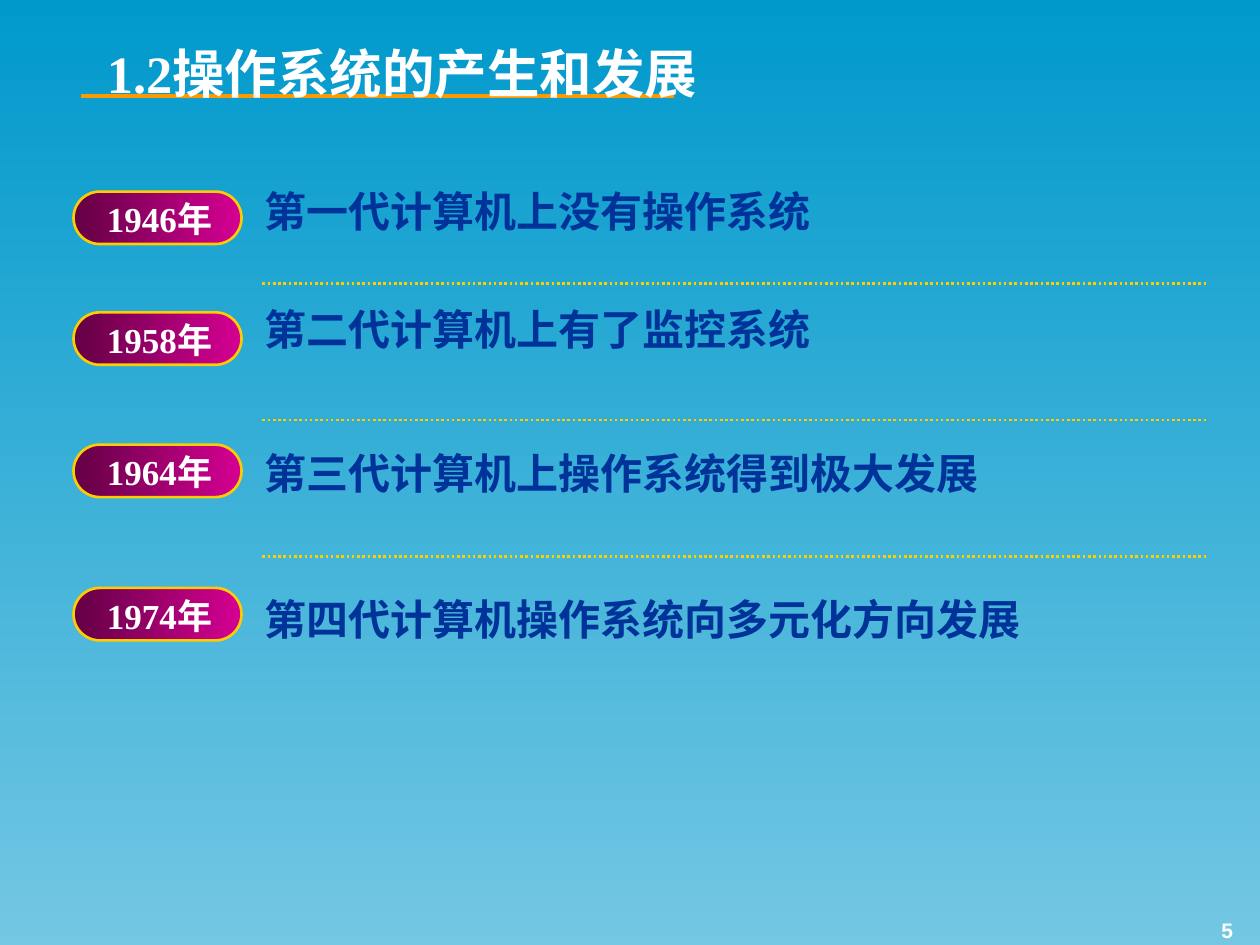
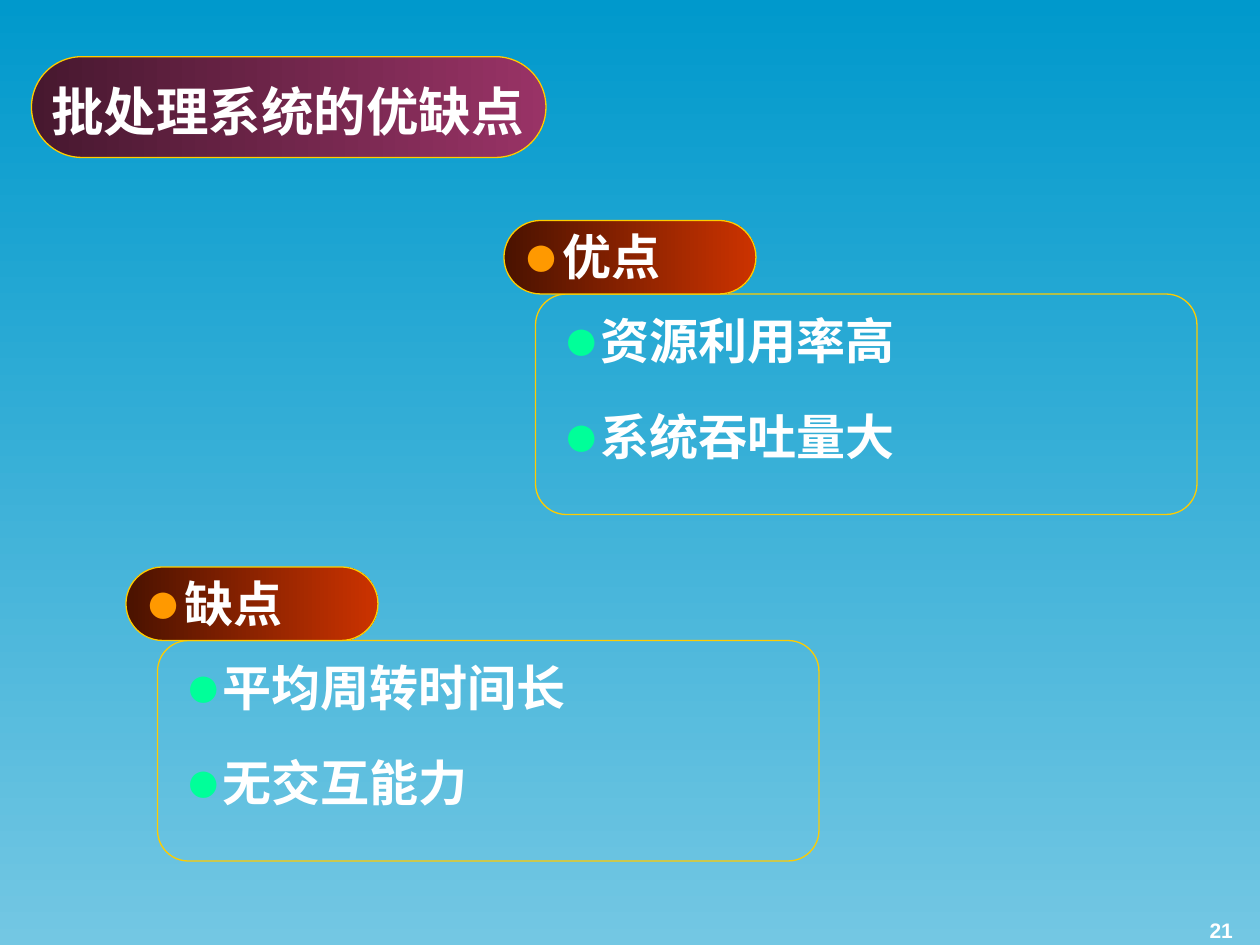
import lxml.etree
import pptx
import pptx.dml.color
import pptx.enum.dml
import pptx.enum.shapes
import pptx.enum.text
import pptx.oxml.ns
import pptx.util

RGBColor = pptx.dml.color.RGBColor
SKY_TOP = RGBColor(0x00, 0x99, 0xCC)
SKY_BOTTOM = RGBColor(0x73, 0xC7, 0xE3)
WHITE = RGBColor(0xFF, 0xFF, 0xFF)
ORANGE = RGBColor(0xFF, 0x99, 0x00)
GOLD = RGBColor(0xFF, 0xCC, 0x00)
NAVY = RGBColor(0x00, 0x33, 0x99)
MINT = RGBColor(0x00, 0xFF, 0x99)
PLUM_FADE = (RGBColor(0x63, 0x00, 0x44), RGBColor(0xD6, 0x00, 0x93))
WINE_FADE = (RGBColor(0x47, 0x18, 0x2F), RGBColor(0x99, 0x33, 0x66))
RUST_FADE = (RGBColor(0x4A, 0x12, 0x00), RGBColor(0xCC, 0x33, 0x00))

COLUMNS, ROWS = 120, 90
CELL = pptx.util.Inches(10) // COLUMNS
SERIF, SANS, NUMERALS = "Times New Roman", "Lato", "Arial"
ALIGN = pptx.enum.text.PP_ALIGN
ANCHOR = pptx.enum.text.MSO_ANCHOR
TITLE_ONLY, TWO_CONTENT = 5, 3

TITLE_FONT = {"name": SERIF, "size": pptx.util.Pt(30), "bold": True}
YEAR_FONT = {"name": SERIF, "size": pptx.util.Pt(20), "bold": True}
ERA_FONT = {"name": SERIF, "size": pptx.util.Pt(24), "bold": True}
POINT_FONT = {"name": SANS, "size": pptx.util.Pt(28), "bold": True}
NUMBER_FONT = {"name": NUMERALS, "size": pptx.util.Pt(12), "bold": True}

ERAS = [
    ("1946年", "第一代计算机上没有操作系统", 18.25, 17.05),
    ("1958年", "第二代计算机上有了监控系统", 29.75, 28.35),
    ("1964年", "第三代计算机上操作系统得到极大发展", 42.35, 42),
    ("1974年", "第四代计算机操作系统向多元化方向发展", 56, 55.9),
]
TRAITS = [
    ("优点", ["资源利用率高", "系统吞吐量大"], 48, 21),
    ("缺点", ["平均周转时间长", "无交互能力"], 12, 54),
]


def cells(*counts):
    return [round(count * CELL) for count in counts]


def set_values(target, values):
    for name, value in values.items():
        setattr(target, name, value)


def place(shape, box):
    set_values(shape, dict(zip(("left", "top", "width", "height"), cells(*box))))


def fade(fill, colors, angle=0):
    fill.gradient()
    fill.gradient_angle = angle
    for stop, color in zip(fill.gradient_stops, colors):
        stop.color.rgb = color


def add_bullet(paragraph, color, indent):
    properties = paragraph._p.get_or_add_pPr()
    properties.set("marL", str(pptx.util.Inches(indent)))
    properties.set("indent", str(-pptx.util.Inches(indent)))

    def add(parent, tag, **attributes):
        return lxml.etree.SubElement(parent, pptx.oxml.ns.qn(tag), attributes)

    add(add(properties, "a:buClr"), "a:srgbClr", val=str(color))
    add(properties, "a:buSzPct", val="125000")
    add(properties, "a:buFont", typeface=SERIF)
    add(properties, "a:buChar", char="●")


def write(shape, lines, font, color=WHITE, align=ALIGN.LEFT, anchor=ANCHOR.TOP,
          bullet=None, gap=0):
    frame = shape.text_frame
    set_values(frame, {"word_wrap": True, "vertical_anchor": anchor,
                       "auto_size": pptx.enum.text.MSO_AUTO_SIZE.NONE})
    for index, line in enumerate(lines):
        paragraph = frame.add_paragraph() if index else frame.paragraphs[0]
        if bullet:
            add_bullet(paragraph, *bullet)
        paragraph.alignment = align
        paragraph.space_before = pptx.util.Pt(gap if index else 0)
        run = paragraph.add_run()
        run.text = line
        set_values(run.font, font)
        run.font.color.rgb = color


def add_label(slide, box, text, font, **style):
    label = slide.shapes.add_textbox(*cells(*box))
    write(label, [text], font, **style)


def add_rounded(slide, box, line_width, colors=None, roundness=0.5):
    shape = slide.shapes.add_shape(
        pptx.enum.shapes.MSO_SHAPE.ROUNDED_RECTANGLE, *cells(*box))
    shape.adjustments[0] = roundness
    shape.shadow.inherit = False
    if colors:
        fade(shape.fill, colors)
    else:
        shape.fill.background()
    shape.line.color.rgb = GOLD
    shape.line.width = pptx.util.Pt(line_width)


def add_rule(slide, left, right, row, color, width, dash=None):
    rule = slide.shapes.add_connector(
        pptx.enum.shapes.MSO_CONNECTOR.STRAIGHT, *cells(left, row, right, row))
    rule.line.color.rgb = color
    set_values(rule.line, {"width": pptx.util.Pt(width), "dash_style": dash})
    lxml.etree.SubElement(rule._element.spPr, pptx.oxml.ns.qn("a:effectLst"))


def add_title(slide, box, text):
    title = slide.shapes.title
    place(title, box)
    write(title, [text], TITLE_FONT, align=ALIGN.CENTER, anchor=ANCHOR.MIDDLE)
    title.element.getparent().append(title.element)


def add_page_number(slide, number):
    add_label(slide, (90.6, 84.1, 28, 6.25), number, NUMBER_FONT,
              align=ALIGN.RIGHT, anchor=ANCHOR.BOTTOM)


def add_era(slide, left, year, statement, year_row, statement_row):
    add_rounded(slide, (left, year_row, 16, 5), 1.5, PLUM_FADE)
    add_label(slide, (left + 2, year_row, 15, 5.3), year, YEAR_FONT)
    add_label(slide, (left + 17, statement_row, 93, 6), statement, ERA_FONT,
              color=NAVY)


def add_trait(slide, body, heading, points, left, top):
    add_rounded(slide, (left + 3, top + 7, 63, 21), 0.75, roundness=0.14)
    add_rounded(slide, (left, top, 24, 7), 0.75, RUST_FADE)
    add_label(slide, (left + 0.6, top, 21.4, 7), heading, POINT_FONT,
              bullet=(ORANGE, 0.32))
    place(body, (left + 4.4, top + 8, 54, 16))
    write(body, points, POINT_FONT, bullet=(MINT, 0.3), gap=21)


def build_history_slide(presentation):
    slide = presentation.slides.add_slide(presentation.slide_layouts[TITLE_ONLY])
    add_page_number(slide, "5")
    add_rule(slide, 7.7, 64.2, 9.1, ORANGE, 2.25)
    for era in ERAS:
        add_era(slide, 7, *era)
    for row in range(27, 54, 13):
        add_rule(slide, 25, 115, row, GOLD, 1.5,
                 pptx.enum.dml.MSO_LINE.ROUND_DOT)
    add_title(slide, (8, 3.4, 60.6, 7), "1.2操作系统的产生和发展")


def build_batch_slide(presentation):
    slide = presentation.slides.add_slide(presentation.slide_layouts[TWO_CONTENT])
    add_page_number(slide, "21")
    bodies = list(slide.placeholders)[1:]
    for body, trait in zip(bodies, TRAITS):
        add_trait(slide, body, *trait)
    add_rounded(slide, (3, 5.4, 49, 9.6), 0.75, WINE_FADE)
    add_title(slide, (2.4, 3, 50, 15), "批处理系统的优缺点")


def main():
    presentation = pptx.Presentation()
    set_values(presentation, {"slide_width": COLUMNS * CELL,
                              "slide_height": ROWS * CELL})
    fade(presentation.slide_master.background.fill, (SKY_TOP, SKY_BOTTOM), 270)
    build_history_slide(presentation)
    build_batch_slide(presentation)
    presentation.save("out.pptx")


if __name__ == "__main__":
    main()
